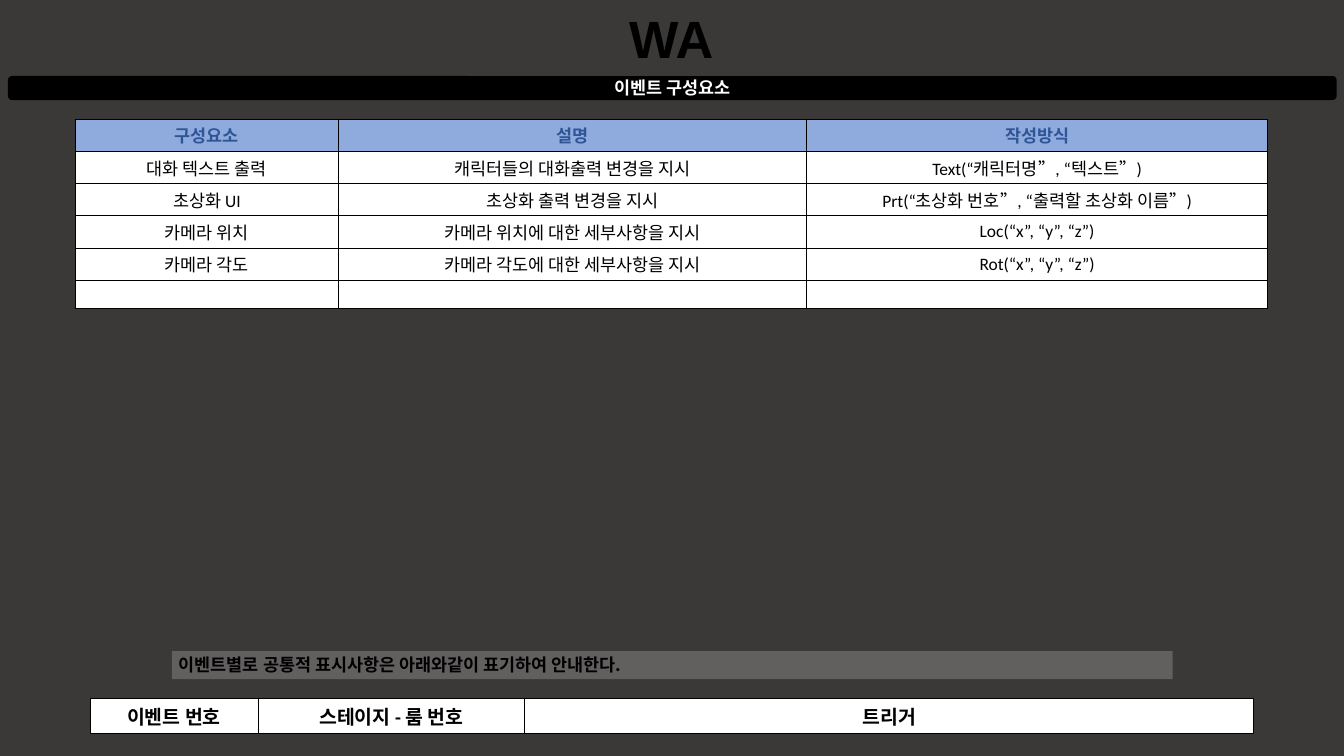
from pptx import Presentation
from pptx.dml.color import RGBColor
from pptx.enum.shapes import MSO_SHAPE
from pptx.enum.text import MSO_ANCHOR, PP_ALIGN
from pptx.oxml import parse_xml
from pptx.oxml.ns import nsdecls
from pptx.util import Inches, Pt
from lxml.etree import SubElement
from pptx.oxml.ns import qn

TITLE = "WA"
SUBTITLE = "이벤트 구성요소"
NOTE = "이벤트별로 공통적 표시사항은 아래와같이 표기하여 안내한다."
ELEMENTS = [
    ("구성요소", "설명", "작성방식"),
    ("대화 텍스트 출력", "캐릭터들의 대화출력 변경을 지시", "Text(“캐릭터명”, “텍스트”)"),
    ("초상화 UI", "초상화 출력 변경을 지시", "Prt(“초상화 번호”, “출력할 초상화 이름”)"),
    ("카메라 위치", "카메라 위치에 대한 세부사항을 지시", "Loc(“x”, “y”, “z”)"),
    ("카메라 각도", "카메라 각도에 대한 세부사항을 지시", "Rot(“x”, “y”, “z”)"),
    ("", "", ""),
]
EVENT_FIELDS = [("이벤트 번호", "스테이지 - 룸 번호", "트리거")]
BLACK, WHITE = "000000", "FFFFFF"
KOREAN, LATIN = "Noto Sans CJK KR", "Calibri"
SCALE = Inches(1) / 69.8


def px(n):
    return round(n * SCALE)


def color(value):
    return RGBColor.from_string(value)


def write(tf, text, size, font, fill, bold=True, align=PP_ALIGN.CENTER):
    p = tf.paragraphs[0]
    p.alignment = align
    if not text:
        p.font.size = Pt(size)
        return
    r = p.add_run()
    r.text = text
    r.font.size, r.font.name, r.font.bold = Pt(size), font, bold
    r.font.color.rgb = color(fill)


def add_box(kind, box, fill):
    sp = s.shapes.add_shape(kind, *map(px, box))
    sp.shadow.inherit = False
    sp.line.fill.background()
    sp.fill.solid()
    sp.fill.fore_color.rgb = color(fill)
    sp.text_frame.word_wrap = True
    return sp


def add_borders(cell):
    tc_pr = cell._tc.get_or_add_tcPr()
    for i, side in enumerate(("lnL", "lnR", "lnT", "lnB")):
        tc_pr.insert(i, parse_xml(
            f'<a:{side} {nsdecls("a")} w="12700"><a:solidFill>'
            f'<a:srgbClr val="{BLACK}"/></a:solidFill></a:{side}>'))


def add_grid(rows, left, top, widths, height, size, anchor, header=None):
    frame = s.shapes.add_table(len(rows), len(widths), px(left), px(top),
                               px(sum(widths)), px(height * len(rows)))
    table = frame.table
    for col, width in zip(table.columns, widths):
        col.width = px(width)
    for i, texts in enumerate(rows):
        table.rows[i].height = px(height)
        is_header = header and i == 0
        fill, ink = header if is_header else (WHITE, BLACK)
        for j, text in enumerate(texts):
            cell = table.cell(i, j)
            cell.fill.solid()
            cell.fill.fore_color.rgb = color(fill)
            cell.vertical_anchor = anchor
            write(cell.text_frame, text, size, LATIN, ink, bool(is_header or not header))
            add_borders(cell)


prs = Presentation()
prs.slide_width, prs.slide_height = Inches(19.26), Inches(10.83)
s = prs.slides.add_slide(prs.slide_layouts[5])
s.background.fill.solid()
s.background.fill.fore_color.rgb = color("3B3838")

bar = add_box(MSO_SHAPE.ROUNDED_RECTANGLE, (8, 76, 1329, 24), BLACK)
bar.text_frame.vertical_anchor = MSO_ANCHOR.MIDDLE
write(bar.text_frame, SUBTITLE, 18, KOREAN, WHITE)

title = s.shapes.title
title.left, title.top, title.width, title.height = map(px, (620, 3, 103, 70))
title.text_frame.word_wrap = False
title.text_frame.vertical_anchor = MSO_ANCHOR.TOP
write(title.text_frame, TITLE, 54, "Arial", BLACK)

add_grid(EVENT_FIELDS, 90, 698, (168, 267, 729), 30, 20, MSO_ANCHOR.TOP)

note = add_box(MSO_SHAPE.RECTANGLE, (172, 651, 1001, 28), WHITE)
SubElement(note.fill._xPr.find(qn("a:solidFill"))[0], qn("a:alpha"), val="20000")
note.text_frame.vertical_anchor = MSO_ANCHOR.TOP
write(note.text_frame, NOTE, 18, KOREAN, BLACK, align=PP_ALIGN.LEFT)

add_grid(ELEMENTS, 75, 119, (264, 468, 461), 28, 18, MSO_ANCHOR.MIDDLE,
         header=("8FAADC", "2F5597"))

prs.save("out.pptx")
